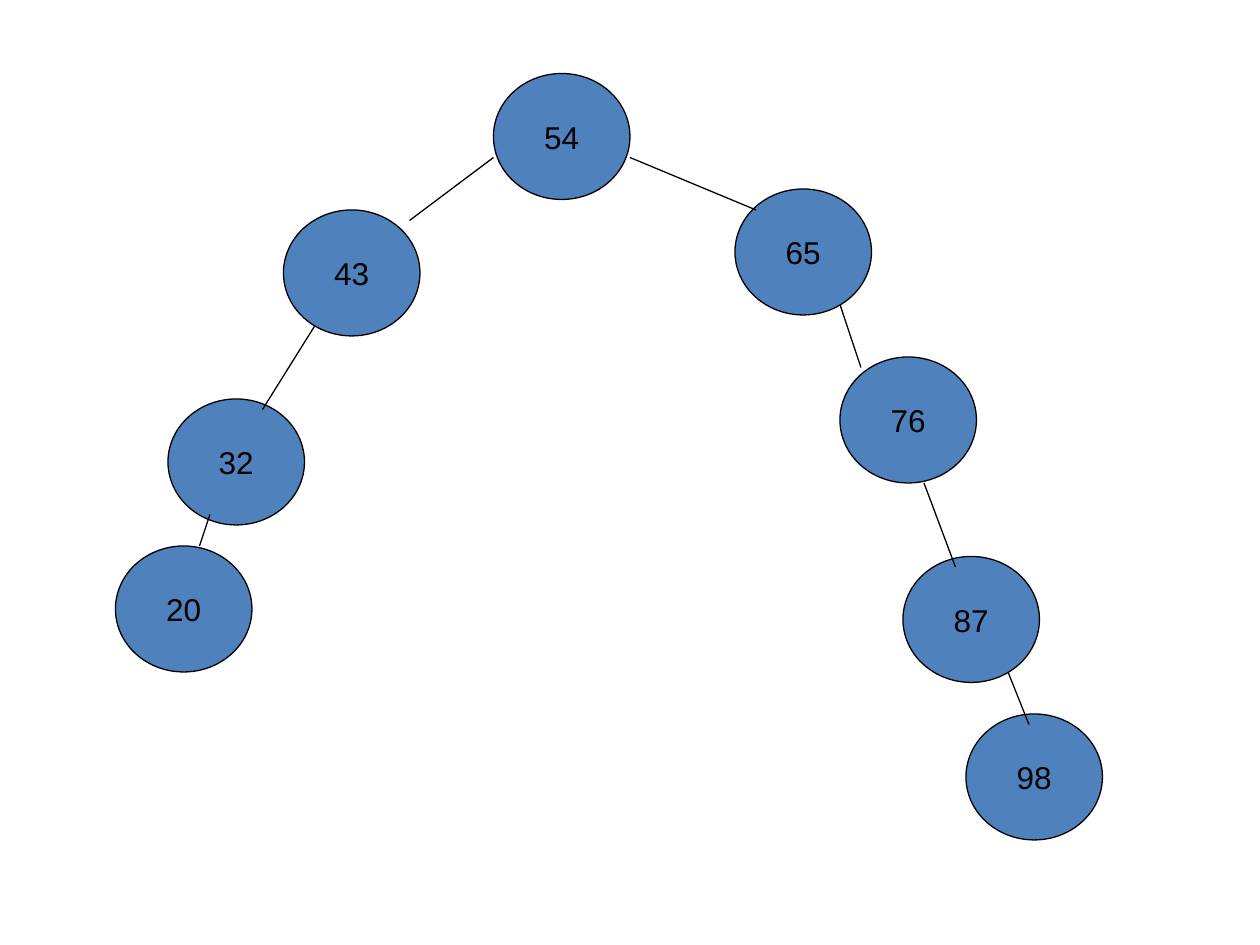
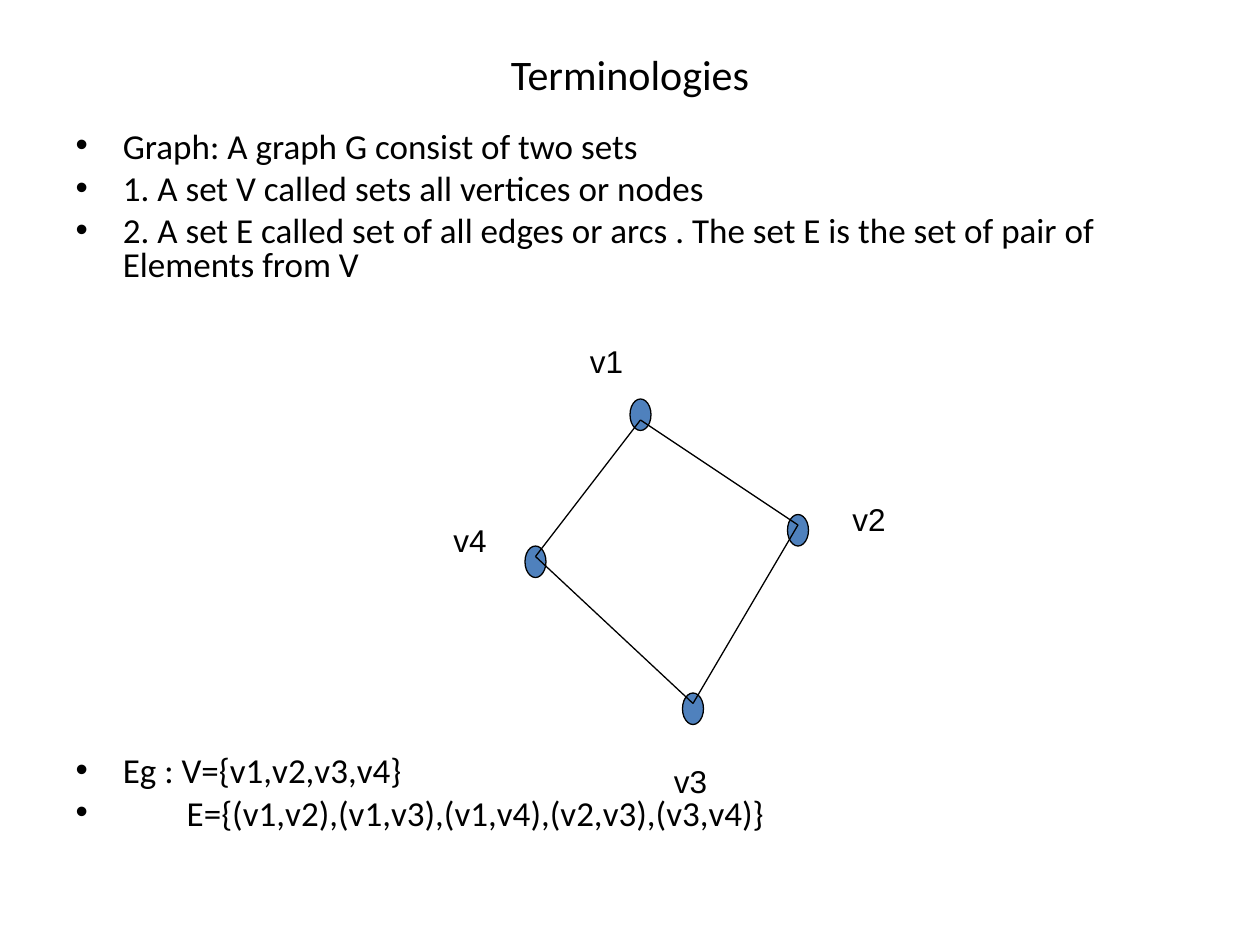
from lxml import etree
from pptx import Presentation
from pptx.dml.color import RGBColor
from pptx.enum import shapes, text
from pptx.oxml import ns
from pptx.util import Pt

BLUE = RGBColor(0x4F, 0x81, 0xBD)
BLACK = RGBColor(0, 0, 0)
THIN = Pt(0.75)

# Tree: node places and edge ends, relative to the tree's box
NODE_W, NODE_H = 78, 72
NODES = {
    "54": (216, 0), "43": (96, 78), "32": (30, 186), "65": (354, 66),
    "76": (414, 162), "87": (450, 276), "98": (486, 366), "20": (0, 270),
}
LINKS = [
    (216, 48, 168, 84), (114, 144, 84, 192), (54, 252, 48, 270),
    (294, 48, 366, 78), (414, 132, 426, 168), (462, 234, 480, 282),
    (510, 342, 522, 372),
]

# Graph: dot place, drop from dot top to joint, label place and width
DOT_W, DOT_H = 12, 18
DOTS = {
    "v1": ((108, 36), 12, (78, 0, 54)),
    "v2": ((198, 102), 6, (228, 90, 36)),
    "v3": ((138, 204), 6, (126, 240, 42)),
    "v4": ((48, 120), 6, (0, 102, 36)),
}
EDGES = [("v1", "v2"), ("v1", "v4"), ("v4", "v3"), ("v2", "v3")]

# List: wording, space before, text indent
ITEMS = [
    ("Graph: A graph G consist of two sets", 5, 27),
    ("1. A set V called sets all vertices or nodes", 5, 27),
    ("2. A set E called set of all edges or arcs . The set E is the set "
     "of pair of Elements from V", 5, 27),
    ("Eg : V={v1,v2,v3,v4}", 270, 27),
    ("E={(v1,v2),(v1,v3),(v1,v4),(v2,v3),(v3,v4)}", 5, 63.5),
]


def add_run(para, words, size, font):
    run = para.add_run()
    run.text = words
    run.font.size = Pt(size)
    run.font.name = font
    run.font.color.rgb = BLACK


def move(shape, left, top, width, height):
    shape.left, shape.top = Pt(left), Pt(top)
    shape.width, shape.height = Pt(width), Pt(height)


def add_oval(slide, left, top, width, height):
    oval = slide.shapes.add_shape(
        shapes.MSO_SHAPE.OVAL, Pt(left), Pt(top), Pt(width), Pt(height))
    oval.shadow.inherit = False
    oval.fill.solid()
    oval.fill.fore_color.rgb = BLUE
    oval.line.color.rgb = BLACK
    oval.line.width = THIN
    return oval


def add_line(slide, x1, y1, x2, y2):
    line = slide.shapes.add_connector(
        shapes.MSO_CONNECTOR.STRAIGHT, Pt(x1), Pt(y1), Pt(x2), Pt(y2))
    line.line.color.rgb = BLACK
    line.line.width = THIN
    props = line._element.find(ns.qn("p:spPr"))
    etree.SubElement(props, ns.qn("a:effectLst"))


def draw_tree(slide, left, top):
    for key, (x, y) in NODES.items():
        oval = add_oval(slide, left + x, top + y, NODE_W, NODE_H)
        frame = oval.text_frame
        frame.word_wrap = False
        frame.vertical_anchor = text.MSO_ANCHOR.MIDDLE
        para = frame.paragraphs[0]
        para.alignment = text.PP_ALIGN.CENTER
        add_run(para, key, 18, "Arial")
    for x1, y1, x2, y2 in LINKS:
        add_line(slide, left + x1, top + y1, left + x2, top + y2)


def draw_graph(slide, left, top):
    joints = {}
    for name, ((x, y), drop, _) in DOTS.items():
        add_oval(slide, left + x, top + y, DOT_W, DOT_H)
        joints[name] = (left + x + DOT_W / 2, top + y + drop)
    for start, end in EDGES:
        add_line(slide, *joints[start], *joints[end])
    for name, (_, _, (x, y, width)) in DOTS.items():
        label = slide.shapes.add_textbox(
            Pt(left + x), Pt(top + y), Pt(width), Pt(28.8))
        label.text_frame.word_wrap = True
        add_run(label.text_frame.paragraphs[0], name, 18, "Arial")


def fill_title(slide, words, box):
    title = slide.shapes.title
    move(title, *box)
    frame = title.text_frame
    frame.auto_size = text.MSO_AUTO_SIZE.NONE
    frame.vertical_anchor = text.MSO_ANCHOR.MIDDLE
    para = frame.paragraphs[0]
    para.alignment = text.PP_ALIGN.CENTER
    add_run(para, words, 24, "Calibri")


def fill_list(slide, items, box):
    body = slide.placeholders[1]
    move(body, *box)
    frame = body.text_frame
    frame.auto_size = text.MSO_AUTO_SIZE.NONE
    for i, (words, gap, indent) in enumerate(items):
        para = frame.add_paragraph() if i else frame.paragraphs[0]
        para.line_spacing = 0.8
        para.space_before = Pt(gap)
        props = para._p.get_or_add_pPr()
        props.set("marL", str(Pt(indent)))
        props.set("indent", str(-Pt(indent)))
        add_run(para, words, 20, "Calibri")


def main():
    deck = Presentation()
    deck.slide_width, deck.slide_height = Pt(720), Pt(540)

    # Search tree
    slide = deck.slides.add_slide(deck.slide_layouts[6])
    draw_tree(slide, 66, 42)

    # Graph terms
    slide = deck.slides.add_slide(deck.slide_layouts[1])
    fill_title(slide, "Terminologies", (36, 24, 648, 36))
    fill_list(slide, ITEMS, (36, 72, 648, 450))
    draw_graph(slide, 252, 192)

    deck.save("out.pptx")


if __name__ == "__main__":
    main()
